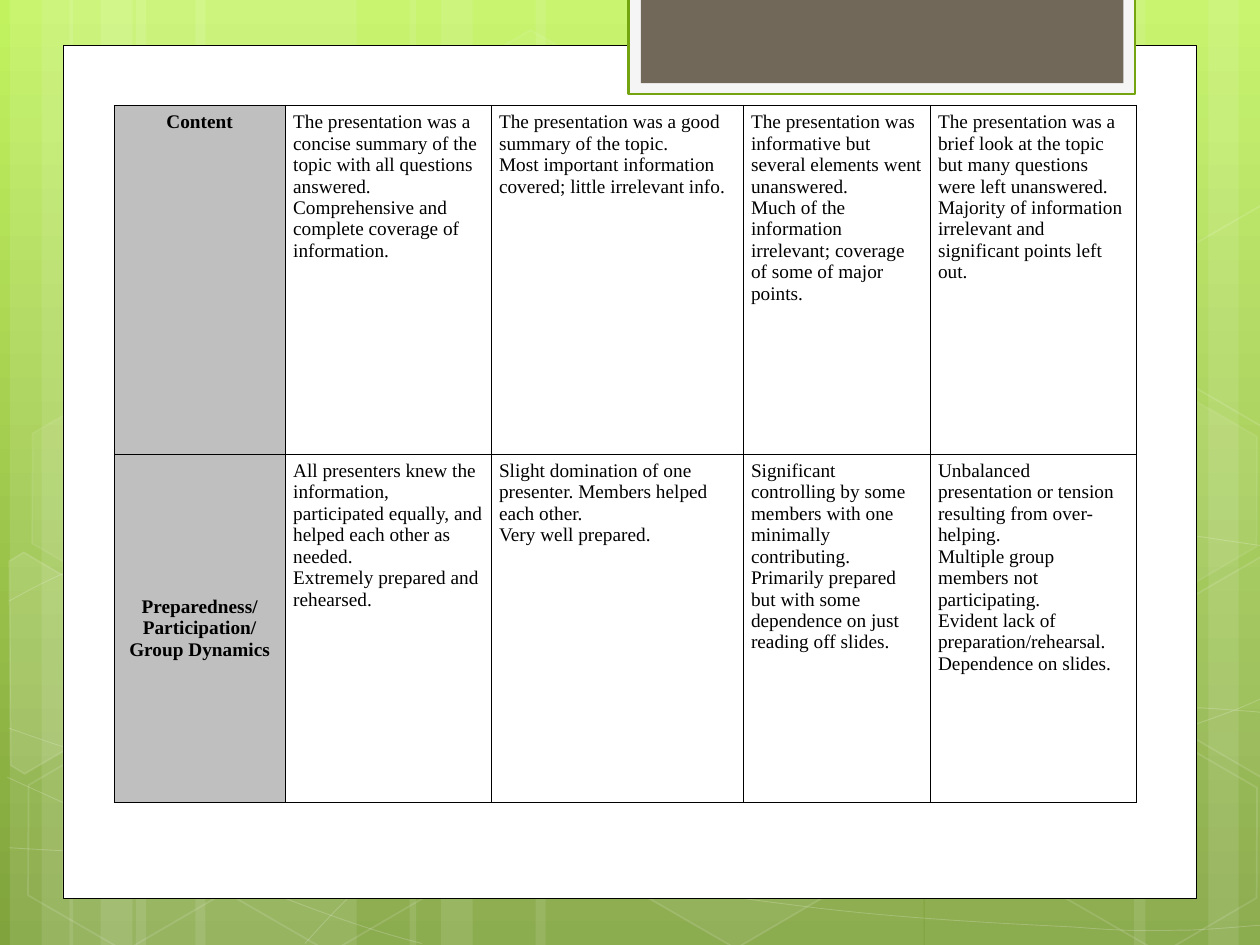
from pptx import Presentation
from pptx.dml.color import RGBColor
from pptx.enum.shapes import MSO_SHAPE as Shape
from pptx.enum.text import MSO_ANCHOR as Anchor, PP_ALIGN as Align
from pptx.oxml import parse_xml
from pptx.oxml.ns import nsdecls
from pptx.util import Cm, Pt

WHITE = RGBColor(0xFF, 0xFF, 0xFF)
BLACK = RGBColor(0x00, 0x00, 0x00)
LIME = RGBColor(0xC2, 0xF3, 0x5F)
OLIVE = RGBColor(0x80, 0xA3, 0x3D)
GREEN = RGBColor(0x74, 0xA5, 0x10)
PALE = RGBColor(0xF5, 0xF5, 0xF5)
BROWN = RGBColor(0x71, 0x68, 0x5A)
GREY = RGBColor(0xBF, 0xBF, 0xBF)

WIDTH, HEIGHT = 25.4, 19.05
TILT = 30

# left, width
BANDS = [(2.74, 4.45), (0.2, 1.27), (0.84, 2.11),
         (3.94, 4.45), (1.4, 1.27), (2.03, 2.11),
         (18.64, 4.45), (24.36, 1.27), (22.86, 2.11),
         (10.8, 7.82), (8.26, 1.27), (8.89, 2.11)]

# Bezier chains: a start point, then two control points and an end point each
CURVES = [
    [(0.18, 17.09), (1.55, 17.17), (2.92, 17.25), (4.83, 17.22),
     (6.73, 17.2), (9.09, 17.15), (11.63, 16.89),
     (14.17, 16.64), (17.78, 16.15), (20.12, 15.67),
     (22.43, 15.19), (24.82, 14.43), (25.58, 14)],
    [(0.18, 12.12), (0.91, 11.71), (1.65, 11.33), (3.07, 10.95),
     (4.52, 10.57), (6.58, 10.01), (8.81, 9.83),
     (11.07, 9.65), (13.82, 9.63), (16.61, 9.83),
     (19.41, 10.03), (24.05, 10.82), (25.58, 11.02)],
    [(0.15, 15.67), (3.23, 17.07), (6.27, 18.47), (8.51, 19.02)],
    [(0.18, 14.68), (0.97, 14.96), (1.78, 15.24), (3.25, 15.65),
     (4.72, 16.03), (6.93, 16.66), (9.07, 17.09),
     (11.18, 17.53), (13.84, 17.98), (15.95, 18.24),
     (18.06, 18.52), (20.32, 18.62), (21.67, 18.69),
     (23.01, 18.8), (23.34, 18.75), (24, 18.75),
     (24.66, 18.72), (25.12, 18.67), (25.58, 18.64)],
    [(6.15, 19.02), (6.6, 18.52), (7.06, 18.01), (7.67, 17.55),
     (8.28, 17.07), (9.14, 16.59), (9.86, 16.23),
     (10.57, 15.88), (11, 15.72), (11.91, 15.47),
     (12.88, 15.21), (14.55, 14.86), (15.44, 14.68),
     (16.36, 14.5), (16.48, 14.5), (17.27, 14.45),
     (18.06, 14.38), (19.3, 14.3), (20.17, 14.27),
     (21.06, 14.25), (22.5, 14.27), (22.5, 14.27),
     (22.5, 14.27), (24.21, 14.27), (24.21, 14.27),
     (24.66, 14.3), (25.1, 14.33), (25.32, 14.35),
     (25.55, 14.38), (25.48, 14.35), (25.55, 14.38)],
]

# left, top, fill opacity, line opacity
HEXAGONS = [(8.48, 0.91, 4, 8), (12.6, 14.96, 6, 12), (0.28, 15.01, 0, 12),
            (0.36, 7.92, 7, 8), (4.42, 15.04, 0, 12), (19.13, 11.51, 10, 12),
            (21.18, 15.06, 0, 12), (21.18, 7.98, 7, 8)]

# Cut hexagons, before they are tilted
LEFT_HEXAGON = [(-0.86, 11.97), (-0.7, 11.67), (1.56, 11.69),
                (2.64, 13.61), (1.55, 15.53), (1.22, 15.52)]
RIGHT_HEXAGON = [(23.28, 13.19), (24.39, 11.26), (24.61, 11.28),
                 (26.73, 14.95), (26.62, 15.13), (24.39, 15.12)]
RIGHT_HEXAGON_RISE = 7.08

COLUMNS = [3.45, 4.15, 5.08, 3.77, 4.15]
ROW_HEIGHT = 7.03
RUBRIC = [
    [["Content"],
     ["The presentation was a concise summary of the topic with all questions answered. "
      "Comprehensive and complete coverage of information."],
     ["The presentation was a good summary of the topic.",
      "Most important information covered; little irrelevant info."],
     ["The presentation was informative but several elements went unanswered.",
      "Much of the information irrelevant; coverage of some of major points."],
     ["The presentation was a brief look at the topic but many questions were left unanswered.",
      "Majority of information irrelevant and significant points left out."]],
    [["Preparedness/", "Participation/", "Group Dynamics"],
     ["All presenters knew the information, participated equally, and helped each other "
      "as needed.",
      "Extremely prepared and rehearsed."],
     ["Slight domination of one presenter. Members helped each other.",
      "Very well prepared."],
     ["Significant controlling by some members with one minimally contributing.",
      "Primarily prepared but with some dependence on just reading off slides."],
     ["Unbalanced presentation or tension resulting from over-helping.",
      "Multiple group members not participating.",
      "Evident lack of preparation/rehearsal. Dependence on slides."]],
]


class Painter:
    font_name, font_size = "Times New Roman", Pt(11)

    def __init__(self, page):
        self.page = page

    def background(self, top, bottom):
        fill = self.page.background.fill
        fill.gradient()
        fill.gradient_angle = 270
        for stop, color in zip(fill.gradient_stops, (top, bottom)):
            stop.color.rgb = color

    def style(self, shape, fill=None, line=None, weight=1, fill_opacity=100, line_opacity=100):
        shape.shadow.inherit = False
        for target, color in ((shape.fill, fill), (shape.line.fill, line)):
            if color is None:
                target.background()
            else:
                target.solid()
                target.fore_color.rgb = color
        if line is not None:
            shape.line.width = Pt(weight)
        for query, opacity in (("./a:solidFill/a:srgbClr", fill_opacity),
                               ("./a:ln/a:solidFill/a:srgbClr", line_opacity)):
            if opacity < 100:
                for color in shape.element.spPr.xpath(query):
                    color.append(parse_xml(
                        f'<a:alpha {nsdecls("a")} val="{opacity * 1000}"/>'))

    def rectangle(self, left, top, width, height, **look):
        shape = self.page.shapes.add_shape(
            Shape.RECTANGLE, Cm(left), Cm(top), Cm(width), Cm(height))
        self.style(shape, **look)

    def hexagon(self, left, top, **look):
        shape = self.page.shapes.add_shape(
            Shape.HEXAGON, Cm(left), Cm(top), Cm(4.45), Cm(3.86))
        shape.adjustments[0] = 0.285
        shape.rotation = TILT
        self.style(shape, **look)

    def outline(self, points, close, **look):
        first, *rest = [(Cm(x), Cm(y)) for x, y in points]
        builder = self.page.shapes.build_freeform(*first)
        builder.add_line_segments(rest, close=close)
        shape = builder.convert_to_shape()
        self.style(shape, **look)
        return shape

    def curve(self, chain, **look):
        """Draw a Bezier chain by merging each three segments into one cubic."""
        shape = self.outline(chain, False, **look)
        segments = shape.element.xpath(".//a:lnTo")
        for i in range(0, len(segments), 3):
            cubic = parse_xml(f'<a:cubicBezTo {nsdecls("a")}/>')
            segments[i].addprevious(cubic)
            for segment in segments[i:i + 3]:
                cubic.append(segment[0])
                segment.getparent().remove(segment)

    def cell(self, cell, lines, heading):
        properties = cell._tc.get_or_add_tcPr()
        for side in "LRTB":
            properties.append(parse_xml(
                f'<a:ln{side} {nsdecls("a")} w="{Pt(0.34)}"><a:solidFill>'
                f'<a:srgbClr val="{BLACK}"/></a:solidFill></a:ln{side}>'))
        if heading:
            cell.fill.solid()
            cell.fill.fore_color.rgb = GREY
        else:
            cell.fill.background()
        cell.margin_left = cell.margin_right = Cm(0.16)
        cell.margin_top = cell.margin_bottom = Cm(0.13)
        cell.text = "\n".join(lines)
        for para in cell.text_frame.paragraphs:
            para.alignment = Align.CENTER if heading else Align.LEFT
            font = para.font
            font.name, font.size, font.bold = self.font_name, self.font_size, heading
            font.color.rgb = BLACK

    def table(self, left, top, columns, row_height, rows):
        frame = self.page.shapes.add_table(
            len(rows), len(columns), Cm(left), Cm(top),
            Cm(sum(columns)), Cm(row_height * len(rows)))
        table = frame.table
        table.first_row = table.horz_banding = False
        for column, width in zip(table.columns, columns):
            column.width = Cm(width)
        for r, row in enumerate(rows):
            table.rows[r].height = Cm(row_height)
            for c, lines in enumerate(row):
                self.cell(table.cell(r, c), lines, heading=c == 0)
        return table


def main():
    deck = Presentation()
    deck.slide_width, deck.slide_height = Cm(WIDTH), Cm(HEIGHT)
    painter = Painter(deck.slides.add_slide(deck.slide_layouts[6]))

    painter.background(LIME, OLIVE)
    for left, width in BANDS:
        painter.rectangle(left, 0, width, HEIGHT, fill=WHITE, fill_opacity=10)
    for chain in CURVES:
        painter.curve(chain, line=WHITE, weight=0.5, line_opacity=20)
    for left, top, fill_opacity, line_opacity in HEXAGONS:
        painter.hexagon(left, top, fill=WHITE if fill_opacity else None, line=WHITE,
                        fill_opacity=fill_opacity, line_opacity=line_opacity)
    upper_hexagon = [(x, y - RIGHT_HEXAGON_RISE) for x, y in RIGHT_HEXAGON]
    for points, fill, opacity in ((LEFT_HEXAGON, WHITE, 10), (RIGHT_HEXAGON, WHITE, 4),
                                  (upper_hexagon, None, 100)):
        cut_hexagon = painter.outline(points, True, fill=fill, line=WHITE,
                                      fill_opacity=opacity, line_opacity=12)
        cut_hexagon.rotation = TILT

    painter.rectangle(1.27, 0.91, 22.86, 17.2, fill=WHITE, line=BLACK, weight=0.5)
    painter.rectangle(12.67, -0.05, 10.22, 1.94, fill=PALE, line=GREEN, weight=1.25)
    painter.rectangle(12.92, -0.05, 9.73, 1.73, fill=BROWN)

    rubric = painter.table(2.3, 2.12, COLUMNS, ROW_HEIGHT, RUBRIC)
    rubric.cell(1, 0).vertical_anchor = Anchor.MIDDLE
    deck.save("out.pptx")


if __name__ == "__main__":
    main()
